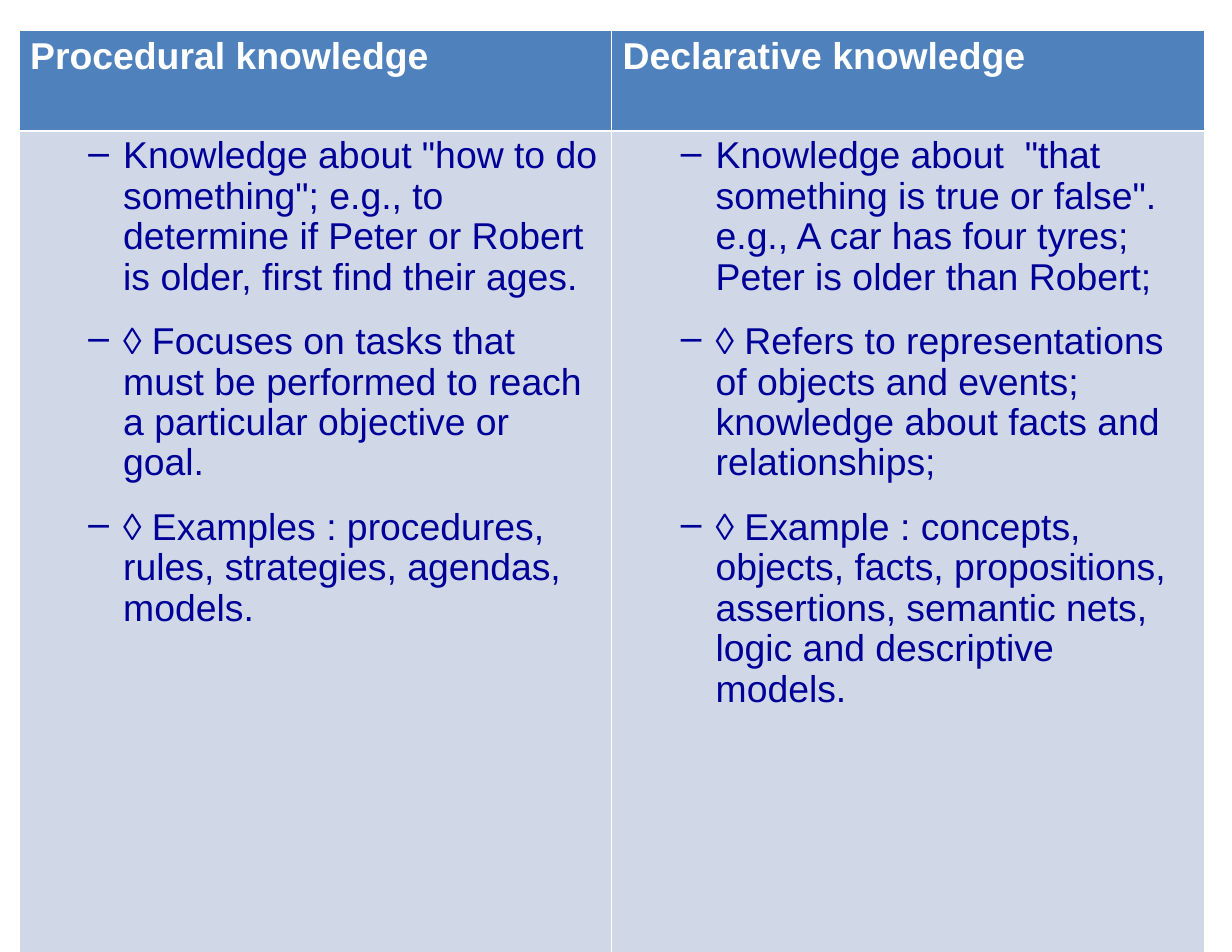
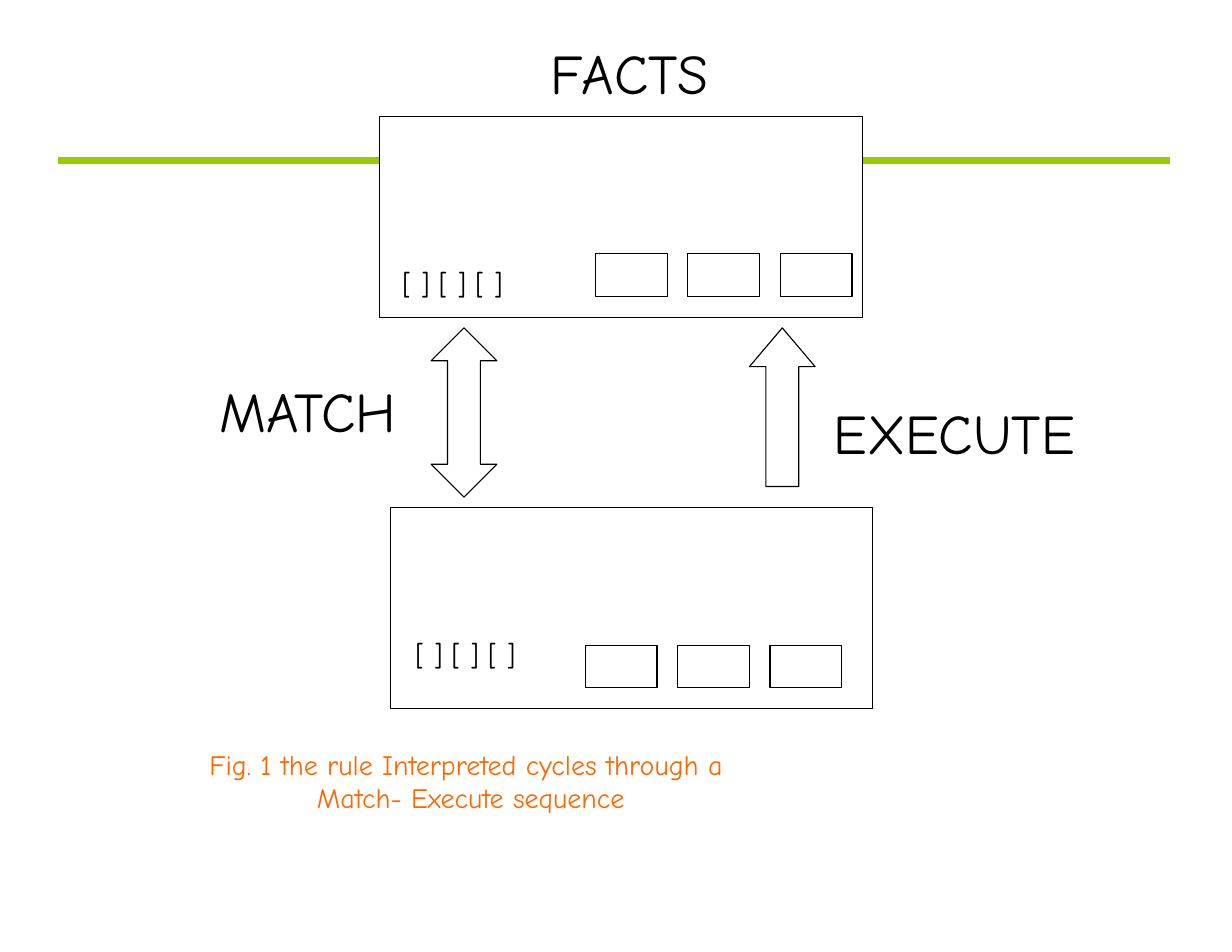
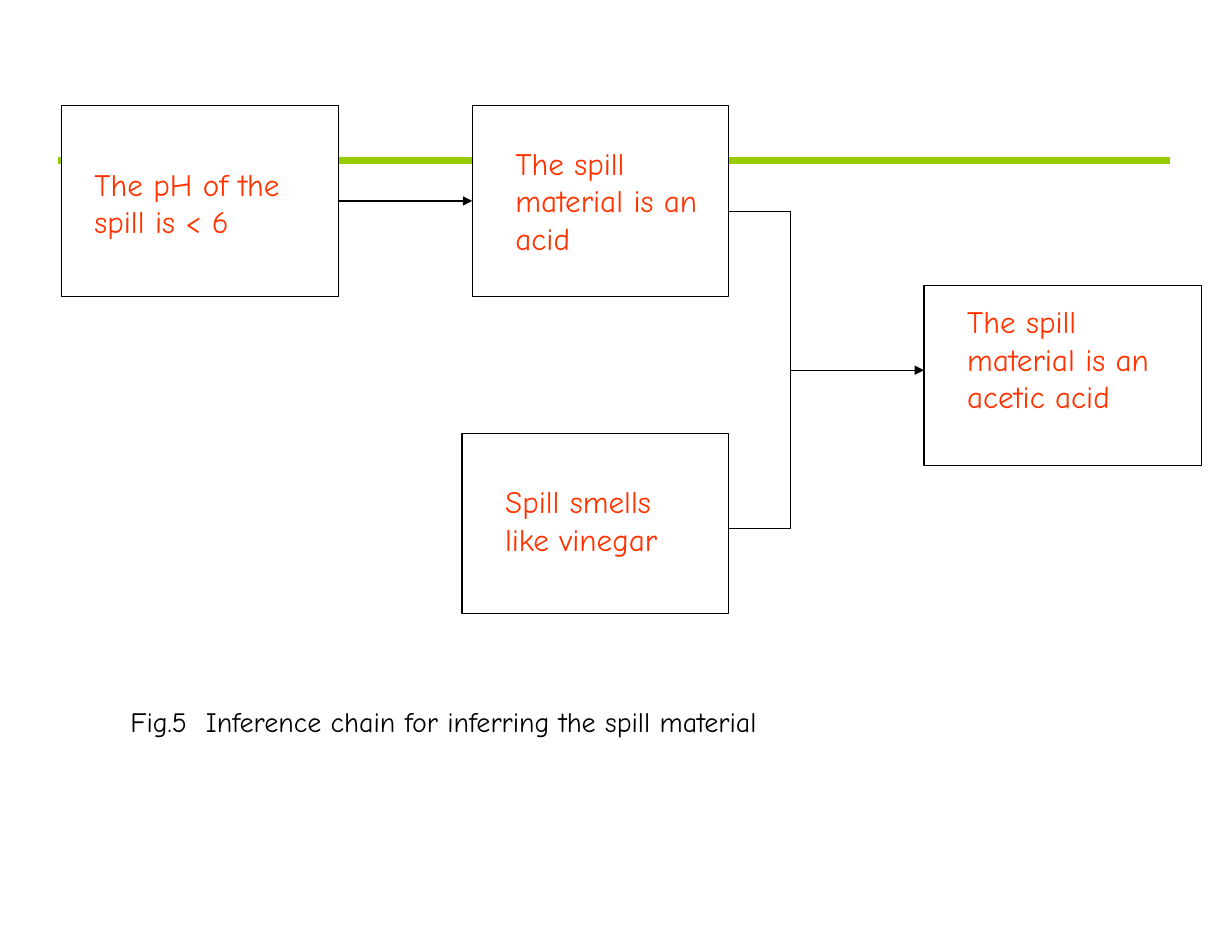
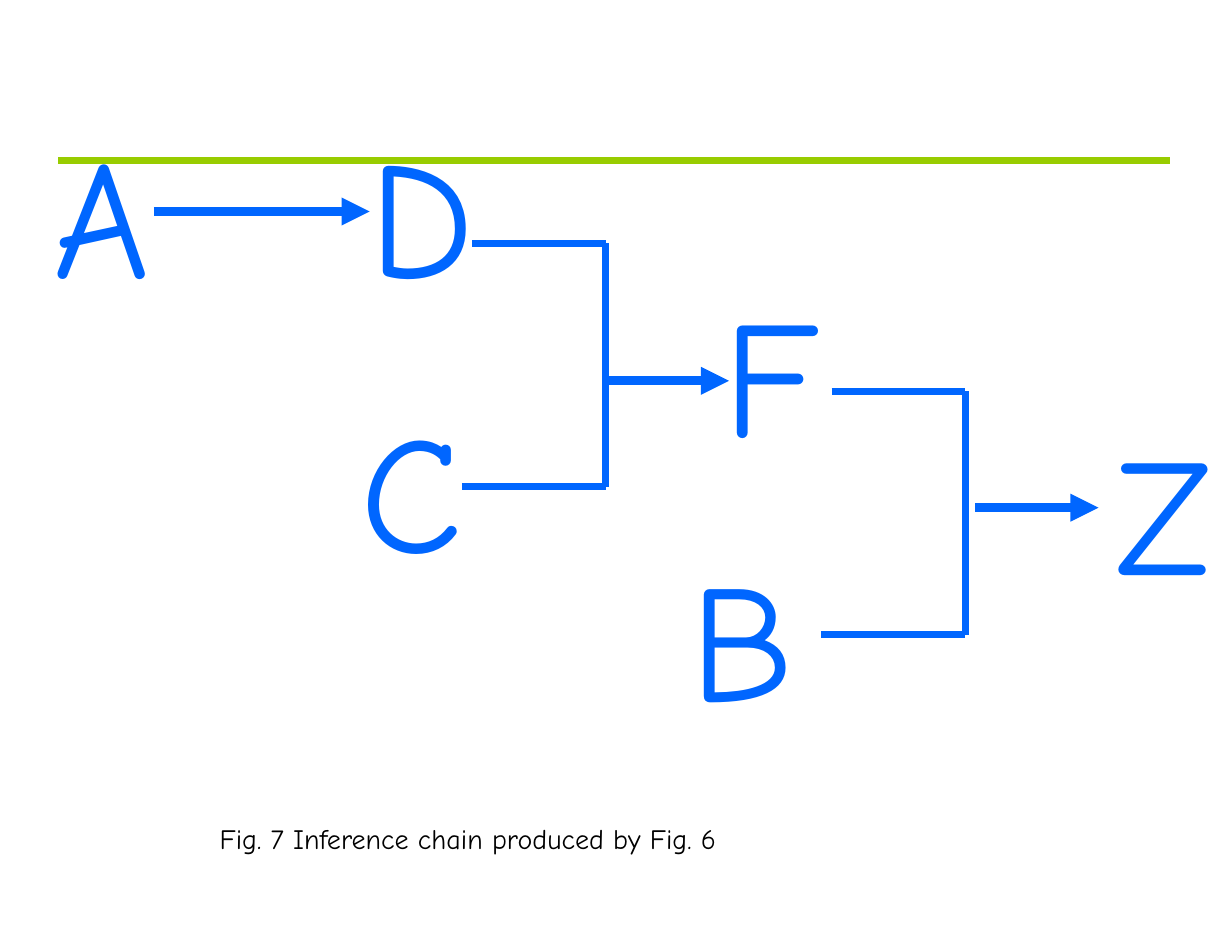
from dataclasses import dataclass

from lxml import etree
from pptx import Presentation
from pptx.dml.color import RGBColor
from pptx.enum.shapes import MSO_CONNECTOR, MSO_SHAPE
from pptx.enum.text import MSO_AUTO_SIZE, PP_ALIGN
from pptx.oxml.ns import qn
from pptx.util import Inches, Pt

STRAIGHT = MSO_CONNECTOR.STRAIGHT
RECTANGLE = MSO_SHAPE.RECTANGLE
UP_DOWN_ARROW = MSO_SHAPE.UP_DOWN_ARROW
UP_ARROW = MSO_SHAPE.UP_ARROW
FIT_TEXT = MSO_AUTO_SIZE.SHAPE_TO_FIT_TEXT
LEFT, CENTER = PP_ALIGN.LEFT, PP_ALIGN.CENTER

WIDTH, HEIGHT = Inches(11), Inches(8.5)
COLUMNS, ROWS = 120, 90


@dataclass(frozen=True)
class Theme:
    white: str = "FFFFFF"
    black: str = "000000"
    rule: str = "98CC00"
    header: str = "4F81BD"
    cell: str = "D0D8E8"
    cell_text: str = "000099"
    caption: str = "FF6600"
    fact: str = "FF3300"
    chain: str = "0066FF"
    table_font: str = "Arial"
    diagram_font: str = "Comic Neue"
    caption_size: float = 18
    fact_size: float = 20
    table_size: float = 24
    label_size: float = 36
    letter_size: float = 107
    thin: float = 0.75
    branch: float = 4.5
    arrow: float = 6


THEME = Theme()

KNOWLEDGE = {
    "Procedural knowledge": [
        'Knowledge about "how to do something"; e.g., to determine if Peter or '
        "Robert is older, first find their ages.",
        "◊ Focuses on tasks that must be performed to reach a particular "
        "objective or goal.",
        "◊ Examples : procedures, rules, strategies, agendas, models.",
    ],
    "Declarative knowledge": [
        'Knowledge about  "that something is true or false". e.g., A car has '
        "four tyres; Peter is older than Robert;",
        "◊ Refers to representations of objects and events; knowledge about "
        "facts and relationships;",
        "◊ Example : concepts, objects, facts, propositions, assertions, "
        "semantic nets, logic and descriptive models.",
        "\v",  # a line break keeps the dash of the unfinished item visible
    ],
}


def across(columns):
    return round(WIDTH * columns / COLUMNS)


def down(rows):
    return round(HEIGHT * rows / ROWS)


def rgb(color):
    return RGBColor.from_string(color)


def set_font(paragraph, name, size, color, bold=False):
    font = paragraph.font
    font.name, font.size, font.bold = name, Pt(size), bold
    font.color.rgb = rgb(color)


def add_solid(parent, color):
    fill = etree.SubElement(parent, qn("a:solidFill"))
    etree.SubElement(fill, qn("a:srgbClr"), val=color)


def add_shape(page, kind, column, row, columns, rows):
    shape = page.shapes.add_shape(
        kind, across(column), down(row), across(columns), down(rows))
    shape.shadow.inherit = False
    shape.fill.solid()
    shape.fill.fore_color.rgb = rgb(THEME.white)
    shape.line.color.rgb = rgb(THEME.black)
    shape.line.width = Pt(THEME.thin)
    return shape


def add_line(page, start, end, color=THEME.black, width=THEME.thin, arrow=False):
    """Join two (column, row) points."""
    line = page.shapes.add_connector(
        STRAIGHT, across(start[0]), down(start[1]), across(end[0]), down(end[1]))
    line.line.color.rgb = rgb(color)
    line.line.width = Pt(width)
    if arrow:
        etree.SubElement(line.line._get_or_add_ln(), qn("a:tailEnd"), type="triangle")
    etree.SubElement(line.element.spPr, qn("a:effectLst"))
    return line


def add_text(page, lines, column, row, columns, rows, size, color=THEME.black,
             wrap=False, align=LEFT):
    box = page.shapes.add_textbox(
        across(column), down(row), across(columns), down(rows))
    frame = box.text_frame
    frame.word_wrap, frame.auto_size = wrap, FIT_TEXT
    frame.margin_left = frame.margin_right = Inches(0.11)
    frame.margin_top = frame.margin_bottom = Inches(0.06)
    frame.text = "\n".join(lines)
    for paragraph in frame.paragraphs:
        paragraph.alignment = align
        set_font(paragraph, THEME.diagram_font, size, color)


def add_label(page, text, column, row, columns):
    add_text(page, [text], column, row, columns, 7.5, THEME.label_size)


def add_small_text(page, text, column, row, columns):
    add_text(page, [text], column, row, columns, 4.35, THEME.caption_size)


def add_memory(page, column, row, slots_column, slots_row, brackets):
    """Draw a frame holding bracketed items and three evenly spaced slots."""
    add_shape(page, RECTANGLE, column, row, 47, 19)
    for slot in range(3):
        add_shape(page, RECTANGLE, slots_column + 9 * slot, slots_row, 7, 4)
    add_small_text(page, "[ ] [ ] [ ]", *brackets, 12.2)


def add_join(page, upper, lower, spine, color=THEME.black, width=THEME.thin):
    """Draw a bracket from two (column, row) points to a vertical spine."""
    for column, row in (upper, lower):
        add_line(page, (column, row), (spine, row), color, width)
    add_line(page, (spine, upper[1]), (spine, lower[1]), color, width)


def add_dash(paragraph):
    properties = paragraph._p.get_or_add_pPr()
    properties.set("marL", str(Inches(0.83)))
    properties.set("indent", str(Inches(-0.31)))
    color = etree.SubElement(properties, qn("a:buClr"))
    etree.SubElement(color, qn("a:srgbClr"), val=THEME.cell_text)
    etree.SubElement(properties, qn("a:buChar"), char="–")


def style_cell(cell, fill, top, bottom):
    properties = cell._tc.get_or_add_tcPr()
    for side, width in (("L", 0.45), ("R", 0.45), ("T", top), ("B", bottom)):
        border = etree.SubElement(
            properties, qn(f"a:ln{side}"), w=str(Pt(width)))
        add_solid(border, THEME.white)
    cell.fill.solid()
    cell.fill.fore_color.rgb = rgb(fill)


def fill_list(frame, items):
    for index, item in enumerate(items):
        paragraph = frame.add_paragraph() if index else frame.paragraphs[0]
        paragraph.text = item
        add_dash(paragraph)
        paragraph.line_spacing = 0.97
        if index:
            paragraph.space_before = Pt(15.6)
        set_font(paragraph, THEME.table_font, THEME.table_size, THEME.cell_text)


def build_knowledge(page):
    heights = Inches(0.9), Inches(7.45)
    table = page.shapes.add_table(
        2, len(KNOWLEDGE), Inches(0.17), Inches(0.27), Inches(10.58),
        sum(heights)).table
    for row, height in zip(table.rows, heights):
        row.height = height
    for column, (heading, items) in enumerate(KNOWLEDGE.items()):
        header, body = table.cell(0, column), table.cell(1, column)
        style_cell(header, THEME.header, 0.45, 1.47)
        style_cell(body, THEME.cell, 1.47, 0.45)
        header.text = heading
        set_font(header.text_frame.paragraphs[0], THEME.table_font,
                 THEME.table_size, THEME.white, bold=True)
        fill_list(body.text_frame, items)


def build_rule_cycle(page):
    add_memory(page, 37, 11, 58, 24, brackets=(38, 24.6))
    add_memory(page, 38, 48, 57, 61, brackets=(39.25, 59.6))
    add_shape(page, UP_DOWN_ARROW, 42, 31, 6.4, 16)
    execute = add_shape(page, UP_ARROW, 73, 31, 6.4, 15)
    execute.adjustments[1] = 0.59
    add_label(page, "FACTS", 52.4, 3, 18)
    add_label(page, "MATCH", 20.2, 35, 20.3)
    add_label(page, "EXECUTE", 80, 37, 26)
    add_text(page, ["Fig. 1 the rule Interpreted cycles through a ",
                    "Match- Execute sequence"],
             19, 70, 53.7, 7.5, THEME.caption_size, THEME.caption, align=CENTER)


def build_spill_chain(page):
    facts = [  # text, frame, text area, each as column, row, columns, rows
        ("The pH of the spill is < 6", (6, 10, 27, 18), (8, 15, 22.25, 8.25)),
        ("The spill material is an acid", (46, 10, 25, 18), (49, 13, 20.2, 11.75)),
        ("Spill smells like vinegar", (45, 41, 26, 17), (48, 45, 20.2, 8.25)),
        ("The spill material is an acetic acid", (90, 27, 27, 17),
         (93, 28, 20.2, 15.35)),
    ]
    for text, frame, area in facts:
        add_shape(page, RECTANGLE, *frame)
        add_text(page, [text], *area, THEME.fact_size, THEME.fact, wrap=True)
    add_line(page, (33, 19), (46, 19), width=1, arrow=True)
    add_join(page, (71, 20), (71, 50), 77)
    add_line(page, (77, 35), (90, 35), arrow=True)
    add_small_text(page, "Fig.5  Inference chain for inferring the spill material",
                   11.5, 66, 63.7)


def build_letter_chain(page):
    letters = {"A": (4, 10, 13), "D": (34.8, 10, 12.65), "C": (33.9, 36, 12.45),
               "F": (69.25, 25, 11.8), "B": (66.1, 50, 12.55),
               "Z": (107.5, 38, 11.9)}
    for letter, (column, row, columns) in letters.items():
        add_text(page, [letter], column, row, columns, 20.1,
                 THEME.letter_size, THEME.chain)
    add_join(page, (46, 23), (45, 46), 59, THEME.chain, THEME.branch)
    add_join(page, (81, 37), (80, 60), 94, THEME.chain, THEME.branch)
    for start, end, row in ((15, 36, 20), (59, 71, 36), (95, 107, 48)):
        add_line(page, (start, row), (end, row), THEME.chain, THEME.arrow, arrow=True)
    add_small_text(page, "Fig. 7 Inference chain produced by Fig. 6",
                   20.2, 77, 50.95)


def share_rule(deck, page):
    """Draw the green rule once and move it to the slide master."""
    rule = add_line(page, (5.67, 15.14), (114, 15.14), THEME.rule, 4.45)
    deck.slide_master.shapes.element.append(rule.element)


def main():
    deck = Presentation()
    deck.slide_width, deck.slide_height = WIDTH, HEIGHT
    blank = deck.slide_layouts[6]
    builders = (build_knowledge, build_rule_cycle, build_spill_chain,
                build_letter_chain)
    for build in builders:
        build(deck.slides.add_slide(blank))
    share_rule(deck, deck.slides[0])
    deck.save("out.pptx")


if __name__ == "__main__":
    main()
